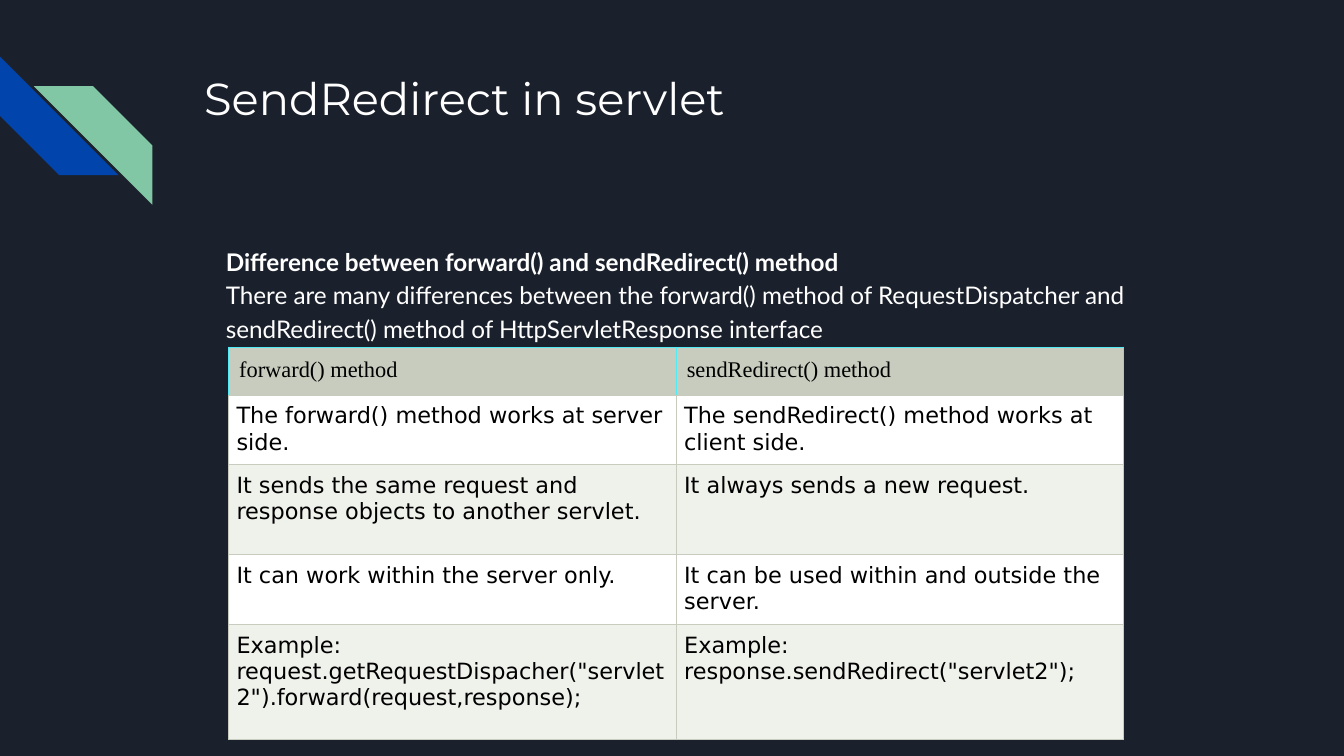
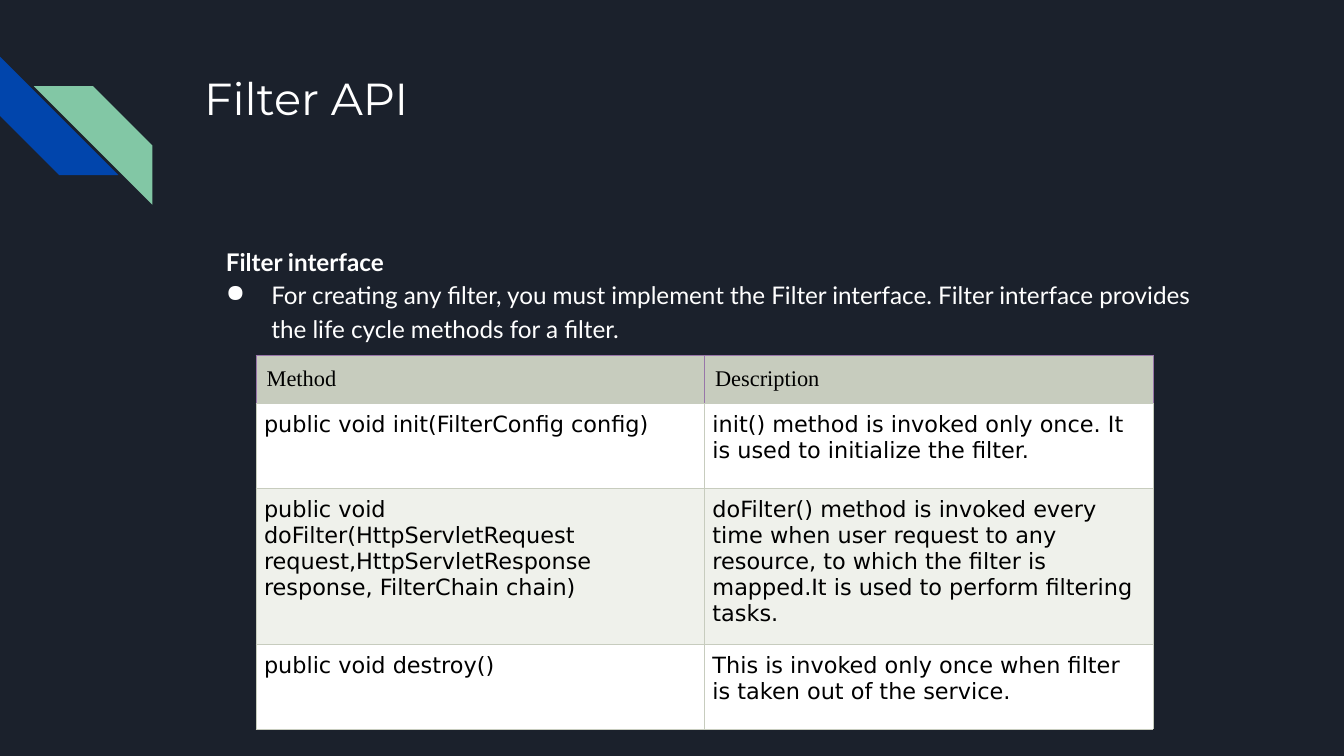
import dataclasses

import pptx
import pptx.dml.color
import pptx.enum.shapes
import pptx.enum.text
import pptx.oxml
import pptx.oxml.ns
import pptx.util

Cm = pptx.util.Cm
Pt = pptx.util.Pt


@dataclasses.dataclass(frozen=True)
class Theme:
    background: str = "1B212C"
    blue: str = "0145AC"
    green: str = "82C7A5"
    light_text: str = "FFFFFF"
    dark_text: str = "000000"
    header_fill: str = "C7CCBE"
    row_fills: tuple = ("FFFFFF", "EFF1EB")
    grid: str = "C7CCBE"
    title_font: str = "Montserrat"
    body_font: str = "Lato"
    header_font: str = "Times New Roman"
    cell_font: str = "DejaVu Sans"
    title_size: int = 24
    body_size: int = 13
    cell_size: int = 12
    grid_width: float = 0.5


THEME = Theme()
TITLE_BOX = (3.61, 1.09, 19.56, 2.54)
BODY_BOX = (3.61, 4.34, 19.56, 8.08)
STRIPES_BOX = (0, 1.07, 2.88, 2.8)


def color(code):
    return pptx.dml.color.RGBColor.from_string(code)


def paint(fill, code):
    fill.solid()
    fill.fore_color.rgb = color(code)


def style_font(font, name, size, code, bold=False):
    font.name = name
    font.size = Pt(size)
    font.bold = bold
    font.color.rgb = color(code)


def add_xml(parent, text, index):
    namespaces = pptx.oxml.ns.nsdecls("a")
    tag, rest = text.split(" ", 1)
    parent.insert(index, pptx.oxml.parse_xml(f"{tag} {namespaces} {rest}"))


def add_stripes(page, box):
    left, top, width, height = box
    side = 2.24
    places = (
        (left, top, THEME.blue, 270),
        (left + width - side, top + height - side, THEME.green, 0),
    )
    for x, y, fill, rotation in places:
        stripe = page.shapes.add_shape(
            pptx.enum.shapes.MSO_SHAPE.DIAGONAL_STRIPE, Cm(x), Cm(y), Cm(side), Cm(side)
        )
        stripe.adjustments[0] = 0.5
        stripe.rotation = rotation
        stripe.shadow.inherit = False
        paint(stripe.fill, fill)
        stripe.line.fill.background()
    stripe._element.spPr.xfrm.set("flipH", "1")


def add_text_frame(page, box):
    frame = page.shapes.add_textbox(*map(Cm, box)).text_frame
    frame.word_wrap = True
    frame.vertical_anchor = pptx.enum.text.MSO_ANCHOR.TOP
    frame.margin_left = frame.margin_right = Cm(0.25)
    frame.margin_top = frame.margin_bottom = Cm(0.25)
    return frame


def add_title(page, box, text):
    para = add_text_frame(page, box).paragraphs[0]
    para.text = text
    style_font(para.font, THEME.title_font, THEME.title_size, THEME.light_text)


def indent(para, bulleted):
    properties = para._p.get_or_add_pPr()
    margin, hanging = (1.27, -0.86) if bulleted else (0.41, 0)
    properties.set("marL", str(Cm(margin)))
    properties.set("indent", str(Cm(hanging)))
    if bulleted:
        add_xml(properties, '<a:buChar char="●"/>', 1)


def add_body(page, box, heading, text, bulleted):
    frame = add_text_frame(page, box)
    lines = ((frame.paragraphs[0], heading, True), (frame.add_paragraph(), text, False))
    for para, words, is_heading in lines:
        para.text = words
        para.line_spacing = 1.15
        indent(para, bulleted and not is_heading)
        style_font(para.font, THEME.body_font, THEME.body_size, THEME.light_text, is_heading)


def set_borders(cell, edge):
    properties = cell._tc.get_or_add_tcPr()
    sides = (("L", edge), ("R", edge), ("T", edge), ("B", THEME.grid))
    for index, (side, code) in enumerate(sides):
        add_xml(
            properties,
            f'<a:ln{side} w="{Pt(THEME.grid_width)}"><a:solidFill>'
            f'<a:srgbClr val="{code}"/></a:solidFill></a:ln{side}>',
            index,
        )


def fill_cell(cell, text, fill, font, margin, edge):
    cell.margin_left = cell.margin_right = Cm(margin)
    cell.margin_top = cell.margin_bottom = Cm(margin)
    para = cell.text_frame.paragraphs[0]
    para.text = text
    style_font(para.font, font, THEME.cell_size, THEME.dark_text)
    paint(cell.fill, fill)
    set_borders(cell, edge)


def add_method_table(page, box, rows, heights, header_edge):
    left, top, width = box
    columns = len(rows[0])
    table = page.shapes.add_table(
        len(rows), columns, Cm(left), Cm(top), Cm(width), Cm(sum(heights))
    ).table
    table.first_row = False
    table.horz_banding = False
    for column in table.columns:
        column.width = Cm(width / columns)
    for row_index, (texts, height) in enumerate(zip(rows, heights)):
        table.rows[row_index].height = Cm(height)
        if row_index == 0:
            look = (THEME.header_fill, THEME.header_font, 0.2, header_edge)
        else:
            row_fill = THEME.row_fills[(row_index - 1) % 2]
            look = (row_fill, THEME.cell_font, 0.15, THEME.grid)
        for column_index, text in enumerate(texts):
            fill_cell(table.cell(row_index, column_index), text, *look)


def add_page(deck, title, heading, text, bulleted, table):
    page = deck.slides.add_slide(deck.slide_layouts[6])
    paint(page.background.fill, THEME.background)
    add_stripes(page, STRIPES_BOX)
    add_title(page, TITLE_BOX, title)
    add_body(page, BODY_BOX, heading, text, bulleted)
    add_method_table(page, **table)


PAGES = (
    dict(
        title="SendRedirect in servlet",
        heading="Difference between forward() and sendRedirect() method",
        text="There are many differences between the forward() method of RequestDispatcher "
        "and sendRedirect() method of HttpServletResponse interface",
        bulleted=False,
        table=dict(
            box=(4.32, 6.56, 16.92),
            heights=(0.89, 1.22, 1.7, 1.22, 2.18),
            header_edge="50EBF5",
            rows=(
                ("forward() method", "sendRedirect() method"),
                (
                    "The forward() method works at server side.",
                    "The sendRedirect() method works at client side.",
                ),
                (
                    "It sends the same request and response objects to another servlet.",
                    "It always sends a new request.",
                ),
                (
                    "It can work within the server only.",
                    "It can be used within and outside the server.",
                ),
                (
                    'Example: request.getRequestDispacher("servlet2").forward(request,response);',
                    'Example: response.sendRedirect("servlet2");',
                ),
            ),
        ),
    ),
    dict(
        title="Filter API",
        heading="Filter interface",
        text="For creating any filter, you must implement the Filter interface. "
        "Filter interface provides the life cycle methods for a filter.",
        bulleted=True,
        table=dict(
            box=(4.84, 6.72, 16.95),
            heights=(0.81, 1.6, 2.95, 1.6),
            header_edge="9875A9",
            rows=(
                ("Method", "Description"),
                (
                    "public void init(FilterConfig config)",
                    "init() method is invoked only once. It is used to initialize the filter.",
                ),
                (
                    "public void doFilter(HttpServletRequest request,HttpServletResponse "
                    "response, FilterChain chain)",
                    "doFilter() method is invoked every time when user request to any "
                    "resource, to which the filter is mapped.It is used to perform "
                    "filtering tasks.",
                ),
                (
                    "public void destroy()",
                    "This is invoked only once when filter is taken out of the service.",
                ),
            ),
        ),
    ),
)


def main():
    deck = pptx.Presentation()
    deck.slide_width = Cm(25.4)
    deck.slide_height = Cm(14.29)
    for content in PAGES:
        add_page(deck, **content)
    deck.save("out.pptx")


if __name__ == "__main__":
    main()
